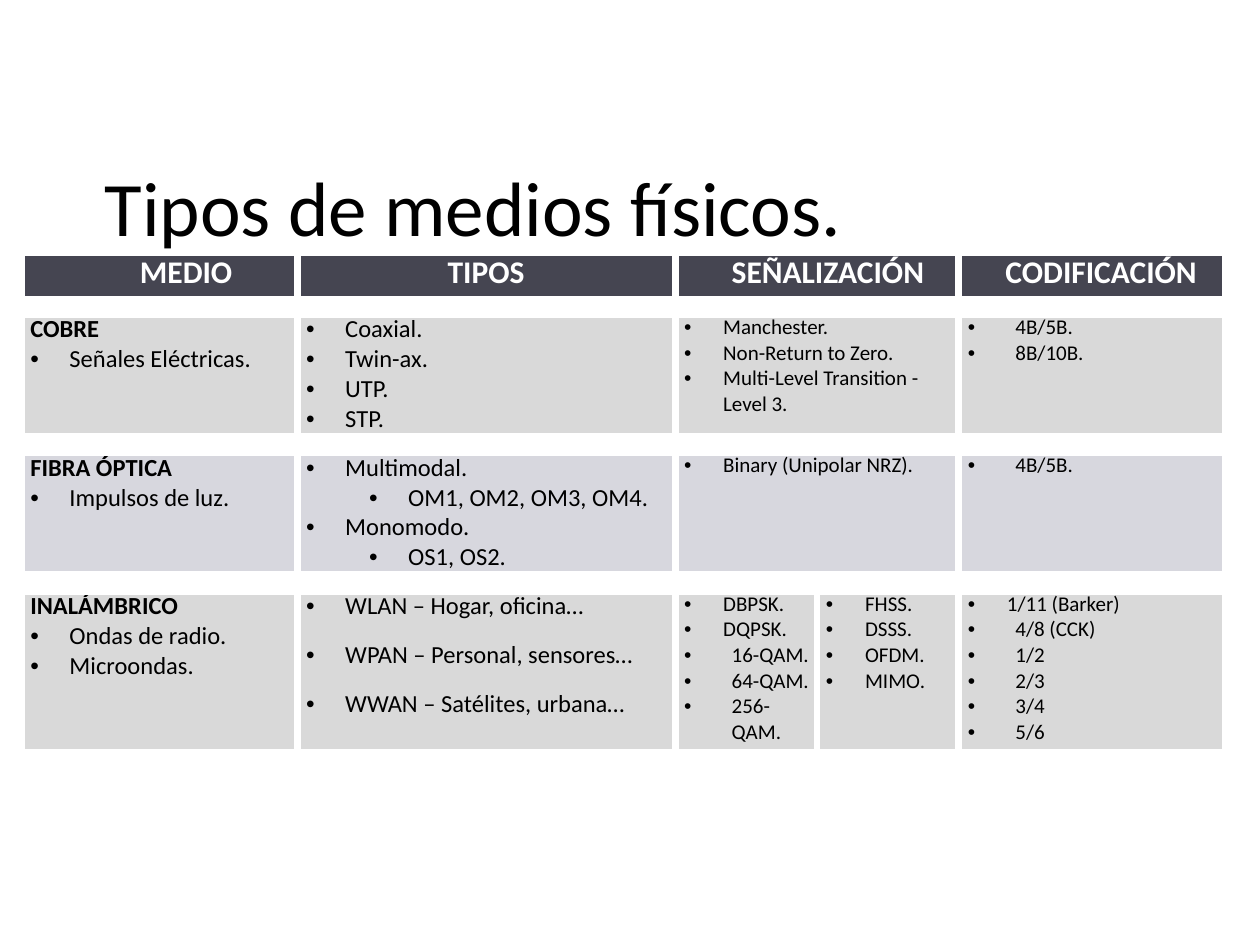
from lxml import etree
from pptx import Presentation
from pptx import util as u
from pptx.dml.color import RGBColor
from pptx.enum import text
from pptx.oxml.ns import qn

TITLE = "Tipos de medios físicos."
HEADINGS = [("MEDIO", 2.39), ("TIPOS", None), ("SEÑALIZACIÓN", 1.14), ("CODIFICACIÓN", 0.94)]

MEDIA = [
    ("D9D9D9", 2.46, [
        (14, [("name", "COBRE"), ("bullet", "Señales Eléctricas.")]),
        (14, [("bullet", "Coaxial."), ("bullet", "Twin-ax."), ("bullet", "UTP."), ("bullet", "STP.")]),
        (12, [("bullet", "Manchester."), ("bullet", "Non-Return to Zero."),
              ("bullet", "Multi-Level Transition - Level 3.")]),
        (12, [("wide", "4B/5B."), ("wide", "8B/10B.")]),
    ]),
    ("D7D7DE", 2.46, [
        (14, [("name", "FIBRA ÓPTICA"), ("bullet", "Impulsos de luz.")]),
        (14, [("bullet", "Multimodal."), ("sub", "OM1, OM2, OM3, OM4."),
              ("bullet", "Monomodo."), ("sub", "OS1, OS2.")]),
        (12, [("bullet", "Binary (Unipolar NRZ).")]),
        (12, [("wide", "4B/5B.")]),
    ]),
    ("D9D9D9", 3.25, [
        (14, [("name", "INALÁMBRICO"), ("bullet", "Ondas de radio."), ("bullet", "Microondas.")]),
        (14, [("bullet", "WLAN – Hogar, oficina…"), ("spaced", "WPAN – Personal, sensores…"),
              ("spaced", "WWAN – Satélites, urbana…")]),
        (12, [("bullet", "DBPSK."), ("bullet", "DQPSK."), ("wide", "16-QAM."),
              ("wide", "64-QAM."), ("wide", "256-QAM.")]),
        (12, [("bullet", "FHSS."), ("bullet", "DSSS."), ("bullet", "OFDM."), ("bullet", "MIMO.")]),
        (12, [("bullet", "1/11 (Barker)"), ("wide", "4/8 (CCK)"), ("wide", "1/2"),
              ("wide", "2/3"), ("wide", "3/4"), ("wide", "5/6")]),
    ]),
]

LEFT, HEADER_TOP, HEADER_HEIGHT = 0.43, 5.1, 0.94
BODY_TOP, GAP = 6.34, 0.33
COLUMNS = [5.56, 7.62, 5.72, 5.38]
SPLIT_COLUMNS = COLUMNS[:2] + [COLUMNS[2] / 2] * 2 + COLUMNS[3:]
INDENTS = {"name": (0.18, 0), "bullet": (0.97, -0.79), "spaced": (0.97, -0.79),
           "wide": (1.14, -0.96), "sub": (2.24, -0.79)}


def color(value):
    return RGBColor.from_string(value)


def add_span(para, words, size, ink="000000", bold=False):
    span = para.add_run()
    span.text = words
    span.font.name = "Calibri"
    span.font.size = u.Pt(size)
    span.font.bold = bold
    span.font.color.rgb = color(ink)


def set_indent(para, margin, first=0):
    properties = para._p.get_or_add_pPr()
    properties.set("marL", str(u.Cm(margin)))
    properties.set("indent", str(u.Cm(first)))
    return properties


def add_entry(para, kind, words, size):
    properties = set_indent(para, *INDENTS[kind])
    if kind != "name":
        etree.SubElement(properties, qn("a:buFont"), typeface="Arial")
        etree.SubElement(properties, qn("a:buChar"), char="•")
    if kind == "sub":
        para.level = 1
    if kind == "spaced":
        para.space_before = u.Pt(10.8)
    add_span(para, words, size, bold=kind == "name")


def format_cell(cell, fill):
    cell.margin_left = cell.margin_right = cell.margin_top = cell.margin_bottom = 0
    properties = cell._tc.get_or_add_tcPr()
    for side in ("a:lnL", "a:lnR", "a:lnT", "a:lnB"):
        line = etree.SubElement(properties, qn(side), w=str(u.Pt(4.5)))
        paint = etree.SubElement(line, qn("a:solidFill"))
        etree.SubElement(paint, qn("a:srgbClr"), val="FFFFFF")
    cell.fill.solid()
    cell.fill.fore_color.rgb = color(fill)


def add_row_table(page, top, height, widths, fill):
    frame = page.shapes.add_table(1, len(widths), u.Cm(LEFT), u.Cm(top),
                                  u.Cm(sum(widths)), u.Cm(height))
    table = frame.table
    table.first_row = table.horz_banding = False
    for column, width in zip(table.columns, widths):
        column.width = u.Cm(width)
    cells = list(table.rows[0].cells)
    for cell in cells:
        format_cell(cell, fill)
    return cells


def add_title(page):
    box = page.shapes.title
    box.left, box.top, box.width, box.height = u.Cm(0.97), u.Cm(3.2), u.Cm(17.15), u.Cm(1.88)
    frame = box.text_frame
    frame.margin_left = frame.margin_right = frame.margin_top = frame.margin_bottom = 0
    frame.vertical_anchor = text.MSO_ANCHOR.MIDDLE
    frame.auto_size = text.MSO_AUTO_SIZE.NONE
    para = frame.paragraphs[0]
    para.alignment = text.PP_ALIGN.CENTER
    add_span(para, TITLE, 44)


def add_headings(page):
    cells = add_row_table(page, HEADER_TOP, HEADER_HEIGHT, COLUMNS, "454551")
    for cell, (words, margin) in zip(cells, HEADINGS):
        para = cell.text_frame.paragraphs[0]
        if margin is None:
            para.alignment = text.PP_ALIGN.CENTER
        else:
            set_indent(para, margin)
        add_span(para, words, 18, "FFFFFF", True)


def add_media(page):
    top = BODY_TOP
    for fill, height, contents in MEDIA:
        widths = COLUMNS if len(contents) == len(COLUMNS) else SPLIT_COLUMNS
        cells = add_row_table(page, top, height, widths, fill)
        for cell, (size, entries) in zip(cells, contents):
            frame = cell.text_frame
            for index, (kind, words) in enumerate(entries):
                para = frame.add_paragraph() if index else frame.paragraphs[0]
                add_entry(para, kind, words, size)
        top += height + GAP


def main():
    deck = Presentation()
    deck.slide_width, deck.slide_height = u.Cm(25.4), u.Cm(19.05)
    page = deck.slides.add_slide(deck.slide_layouts[5])
    add_title(page)
    add_headings(page)
    add_media(page)
    deck.save("out.pptx")


if __name__ == "__main__":
    main()
